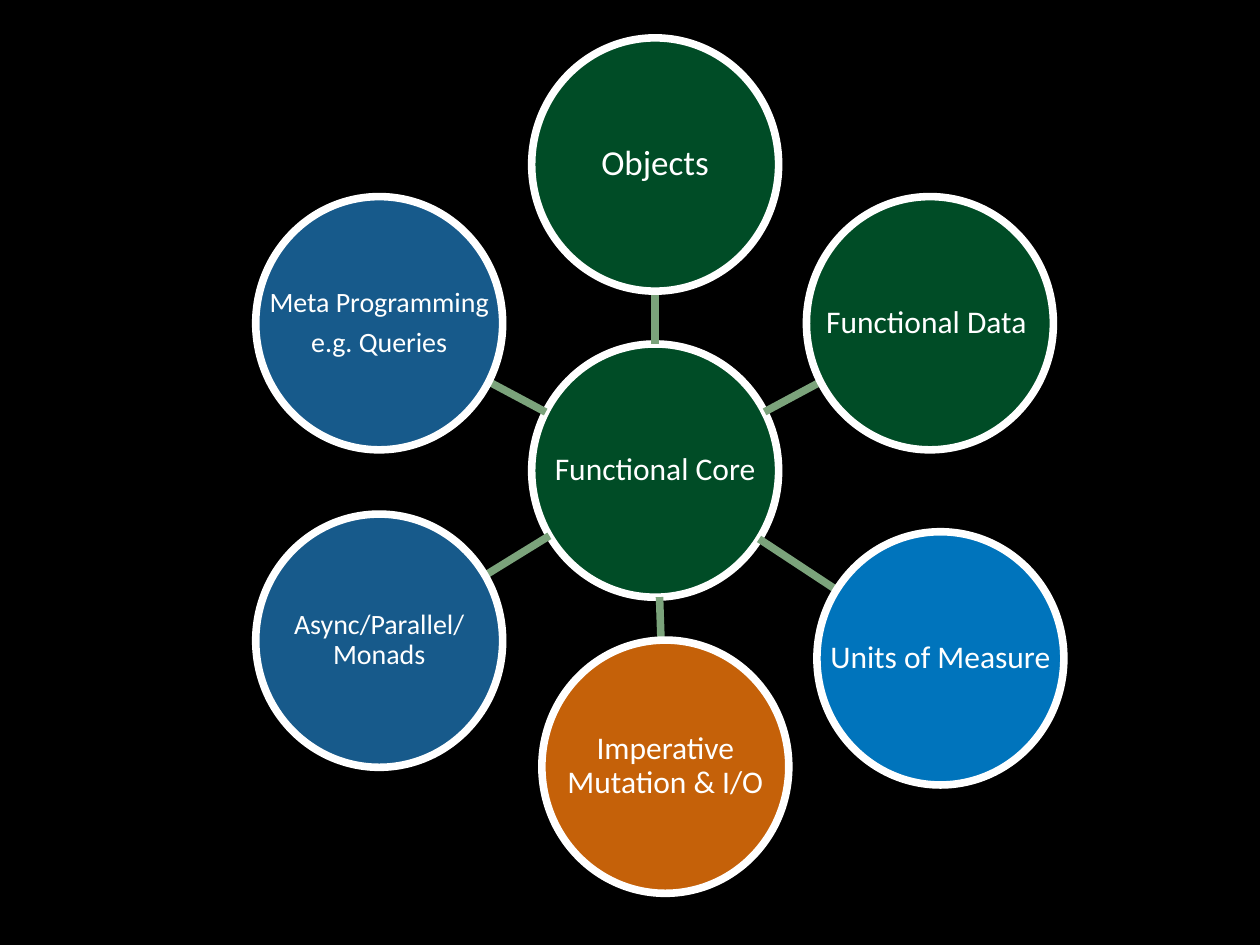
import math

from lxml import etree
from pptx import Presentation
from pptx.dml.color import RGBColor
from pptx.enum import shapes, text
from pptx.oxml import ns
from pptx.util import Pt

COLORS = {
    "background": "000000",
    "white": "FFFFFF",
    "link": "7BA37B",
    "green": "004C26",
    "blue": "0074BC",
    "navy": "175A8B",
    "orange": "C56109",
}
WIDTH, HEIGHT = 141.1, 144.7
LINE_WIDTH = Pt(4.33)


def rgb(name):
    return RGBColor.from_string(COLORS[name])


def add_topic(slide, x, y, color, size, lines):
    """Add a circle centred on x, y with its label on top."""
    box = Pt(x - WIDTH / 2), Pt(y - HEIGHT / 2), Pt(WIDTH), Pt(HEIGHT)
    circle = slide.shapes.add_shape(shapes.MSO_SHAPE.OVAL, *box)
    circle.shadow.inherit = False
    circle.fill.solid()
    circle.fill.fore_color.rgb = rgb(color)
    circle.line.color.rgb = rgb("white")
    circle.line.width = LINE_WIDTH

    # The label uses the full width of the circle
    frame = slide.shapes.add_textbox(*box).text_frame
    frame.word_wrap = True
    frame.vertical_anchor = text.MSO_ANCHOR.MIDDLE
    frame.margin_left = frame.margin_right = Pt(0.8)
    frame.margin_top = frame.margin_bottom = Pt(0.8)
    for index, line in enumerate(lines):
        paragraph = frame.add_paragraph() if index else frame.paragraphs[0]
        paragraph.alignment = text.PP_ALIGN.CENTER
        paragraph.line_spacing = 0.9
        if index < len(lines) - 1:
            paragraph.space_after = Pt(0.35 * size)
        run = paragraph.add_run()
        run.text = line
        run.font.name = "Calibri"
        run.font.size = Pt(size)
        run.font.color.rgb = rgb("white")


prs = Presentation()
prs.slide_width, prs.slide_height = Pt(720), Pt(540)
slide = prs.slides.add_slide(prs.slide_layouts[6])
slide.background.fill.solid()
slide.background.fill.fore_color.rgb = rgb("background")

# Core in the middle
core_x, core_y = 374.4, 268.9
add_topic(slide, core_x, core_y, "green", 18, ["Functional Core"])

# Topics around the core, clockwise: centre, colour, text size, lines
topics = [
    (374.4, 94, "green", 20, ["Objects"]),
    (531.4, 184.7, "green", 18, ["Functional Data "]),
    (537.4, 376.2, "blue", 18, ["Units of Measure"]),
    (380.2, 438.1, "orange", 18, ["Imperative Mutation & I/O"]),
    (216.7, 366.1, "navy", 16, ["Async/Parallel/Monads"]),
    (216.7, 184.7, "navy", 16, ["Meta Programming", "e.g. Queries"]),
]
for x, y, color, size, lines in topics:
    # Link from edge to edge along the line between the centres
    dx, dy = x - core_x, y - core_y
    edge = 1 / math.hypot(dx / (WIDTH / 2), dy / (HEIGHT / 2))
    link = slide.shapes.add_connector(
        shapes.MSO_CONNECTOR.STRAIGHT,
        Pt(core_x + dx * edge), Pt(core_y + dy * edge),
        Pt(x - dx * edge), Pt(y - dy * edge))
    link.line.color.rgb = rgb("link")
    link.line.width = LINE_WIDTH
    etree.SubElement(link._element.spPr, ns.qn("a:effectLst"))

    add_topic(slide, x, y, color, size, lines)

prs.save("out.pptx")
